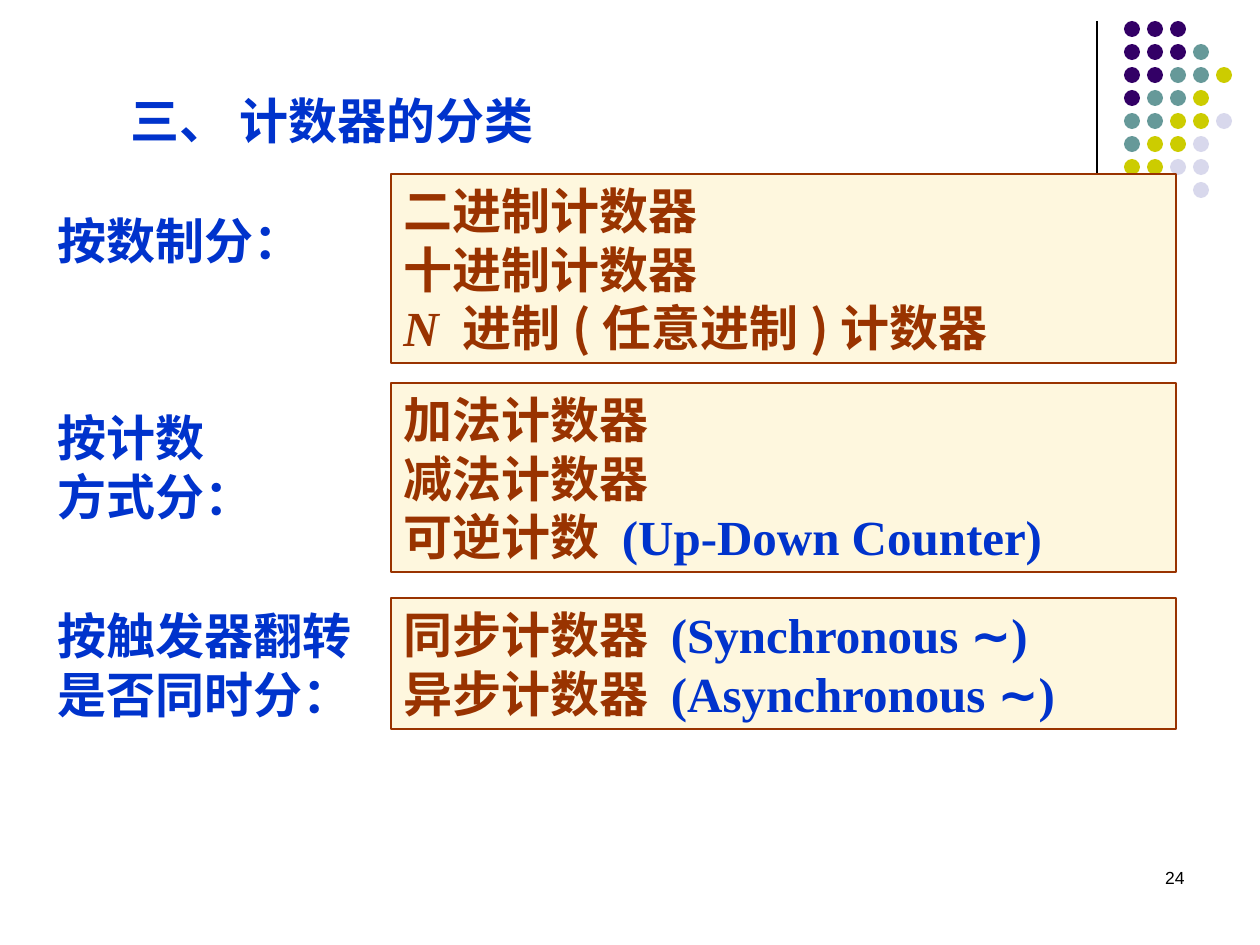
from dataclasses import dataclass
from typing import Optional

from lxml.etree import SubElement
from pptx import Presentation
from pptx.dml.color import RGBColor
from pptx.enum.shapes import MSO_CONNECTOR, MSO_SHAPE
from pptx.enum.text import MSO_ANCHOR, MSO_AUTO_SIZE, PP_ALIGN
from pptx.oxml.ns import qn
from pptx.util import Emu, Pt


@dataclass(frozen=True)
class Theme:
    blue: str = "0033CC"
    brown: str = "993300"
    cream: str = "FEF7DE"
    black: str = "000000"
    latin: str = "Times New Roman"
    sans: str = "Arial"
    chinese: str = "Noto Sans CJK SC"
    body_size: int = 28
    number_size: int = 10
    line_width: float = 0.75


THEME = Theme()


@dataclass(frozen=True)
class Area:
    left: int
    top: int
    width: int
    height: int


@dataclass(frozen=True)
class Span:
    text: str
    color: Optional[str] = None
    font: Optional[str] = None
    italic: Optional[bool] = None


@dataclass(frozen=True)
class Category:
    label: list[list[Span]]
    label_area: Area
    label_wraps: bool
    members: list[list[Span]]
    box_top: int
    box_height: int


def plain(*lines: str) -> list[list[Span]]:
    return [[Span(line)] for line in lines]


def clocked(name: str, english: str) -> list[Span]:
    """A counter type with its English name, the tilde standing for 'counter'."""
    return [Span(name), Span(f"({english} ", THEME.blue),
            Span("∼", THEME.blue, THEME.sans), Span(")", THEME.blue)]


BOX_LEFT, BOX_WIDTH = 391, 785
CATEGORIES = [
    Category(plain("按数制分："), Area(45, 204, 270, 72), False,
             plain("二进制计数器", "十进制计数器") + [[
                 Span("N ", italic=True), Span("进制"), Span("(", font=THEME.chinese),
                 Span("任意进制"), Span(")", font=THEME.chinese), Span("计数器")]],
             174, 189),
    Category(plain("按计数", "方式分："), Area(45, 401, 220, 131), False,
             plain("加法计数器", "减法计数器")
             + [[Span("可逆计数 "), Span("(Up-Down Counter)", THEME.blue)]],
             383, 189),
    Category(plain("按触发器翻转是否同时分："), Area(45, 599, 347, 131), True,
             [clocked("同步计数器 ", "Synchronous"), clocked("异步计数器 ", "Asynchronous")],
             598, 131),
]

DOT_COLORS = {"P": "330066", "T": "669999", "Y": "CCCC00", "L": "D8D8EC"}
DOT_ROWS = ["PPP", "PPPT", "PPTTY", "PTTY", "TTYYL", "TYYL", "YYLL", "   L"]
DOT_LEFT, DOT_TOP, DOT_PITCH, DOT_SIZE = 1124, 21, 23, 16


def px(count: int) -> Emu:
    return Emu(round(count * 914400 / 126))


def edges(area: Area) -> tuple[Emu, Emu, Emu, Emu]:
    return px(area.left), px(area.top), px(area.width), px(area.height)


def write_text(shape, lines: list[list[Span]], color: str, size: int = THEME.body_size,
               font: str = THEME.latin, bold: bool = True, wrap: bool = True,
               align: PP_ALIGN = PP_ALIGN.LEFT) -> None:
    frame = shape.text_frame
    frame.word_wrap = wrap
    frame.auto_size = MSO_AUTO_SIZE.NONE
    frame.vertical_anchor = MSO_ANCHOR.TOP
    for index, spans in enumerate(lines):
        para = frame.add_paragraph() if index else frame.paragraphs[0]
        para.alignment = align
        para.font.name, para.font.size, para.font.bold = font, Pt(size), bold
        para.font.color.rgb = RGBColor.from_string(color)
        defaults = para._p.get_or_add_pPr().find(qn("a:defRPr"))
        SubElement(defaults, qn("a:ea")).set("typeface", THEME.chinese)
        for span in spans:
            run = para.add_run()
            run.text = span.text
            run.font.italic = span.italic
            if span.font:
                run.font.name = span.font
            if span.color or shape.shape_type is not None:
                run.font.color.rgb = RGBColor.from_string(span.color or color)


def add_filled(page, kind: MSO_SHAPE, area: Area, fill: str, outline: Optional[str] = None):
    shape = page.shapes.add_shape(kind, *edges(area))
    shape.shadow.inherit = False
    shape.fill.solid()
    shape.fill.fore_color.rgb = RGBColor.from_string(fill)
    if outline:
        shape.line.color.rgb = RGBColor.from_string(outline)
        shape.line.width = Pt(THEME.line_width)
    else:
        shape.line.fill.background()
    return shape


def draw_ornament(page) -> None:
    rule = page.shapes.add_connector(MSO_CONNECTOR.STRAIGHT, px(1097), px(21), px(1097), px(231))
    rule.line.color.rgb = RGBColor.from_string(THEME.black)
    rule.line.width = Pt(THEME.line_width)
    SubElement(rule._element.spPr, qn("a:effectLst"))
    for row, codes in enumerate(DOT_ROWS):
        for column, code in enumerate(codes):
            if code in DOT_COLORS:
                area = Area(DOT_LEFT + column * DOT_PITCH, DOT_TOP + row * DOT_PITCH,
                            DOT_SIZE, DOT_SIZE)
                add_filled(page, MSO_SHAPE.OVAL, area, DOT_COLORS[code])


def draw_category(page, category: Category) -> None:
    label = page.shapes.add_textbox(*edges(category.label_area))
    write_text(label, category.label, THEME.blue, wrap=category.label_wraps)
    area = Area(BOX_LEFT, category.box_top, BOX_WIDTH, category.box_height)
    box = add_filled(page, MSO_SHAPE.RECTANGLE, area, THEME.cream, THEME.brown)
    write_text(box, category.members, THEME.brown)


def main() -> None:
    deck = Presentation()
    deck.slide_width, deck.slide_height = px(1260), px(945)
    page = deck.slides.add_slide(deck.slide_layouts[5])
    draw_ornament(page)

    title = page.shapes.title
    title.left, title.top, title.width, title.height = edges(Area(118, 84, 596, 72))
    write_text(title, plain("三、 计数器的分类"), THEME.blue)

    for category in CATEGORIES:
        draw_category(page, category)

    number = page.shapes.add_textbox(*edges(Area(903, 861, 294, 63)))
    write_text(number, plain("24"), THEME.black, THEME.number_size, THEME.sans,
               bold=False, align=PP_ALIGN.RIGHT)
    deck.save("out.pptx")


if __name__ == "__main__":
    main()
